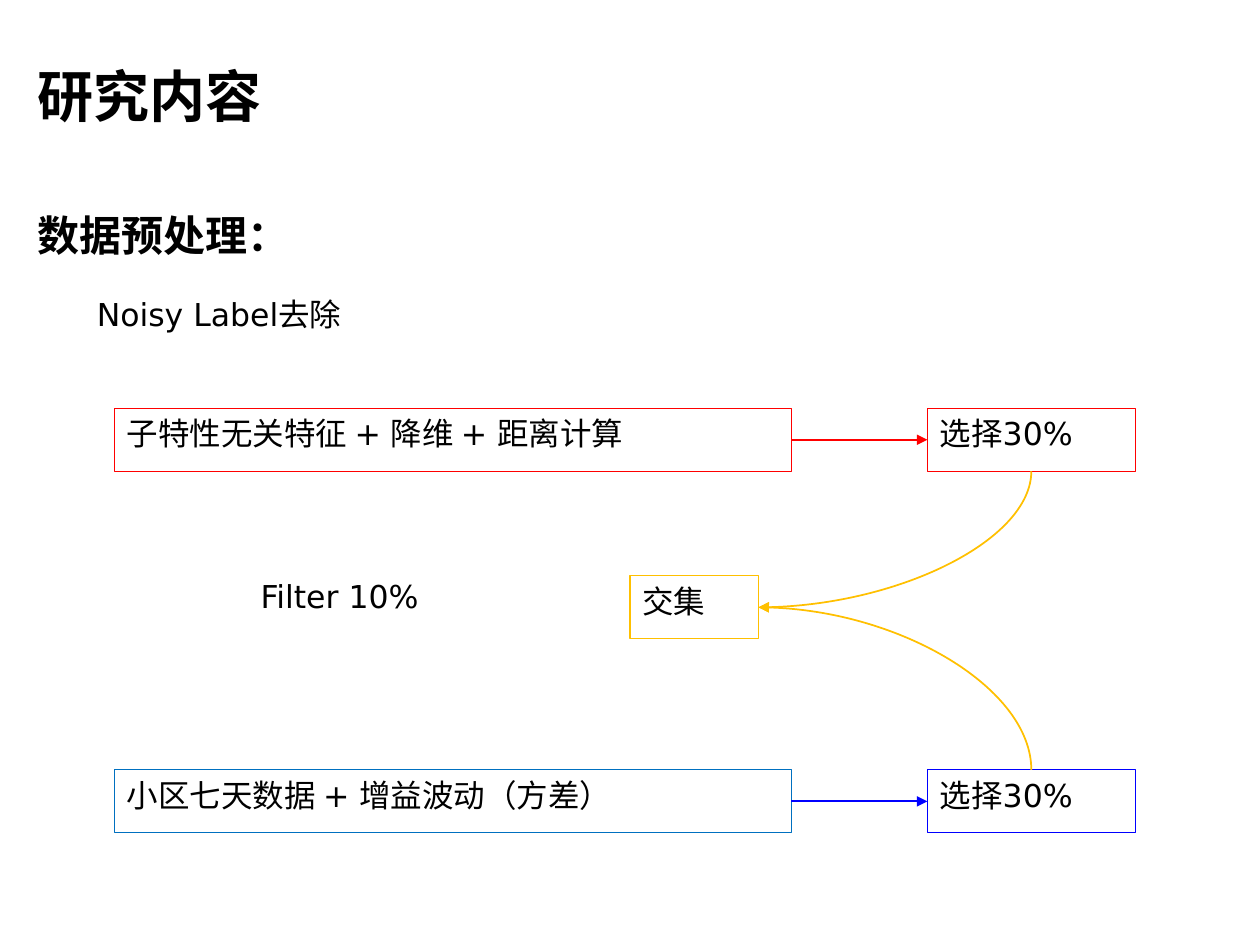
from pptx import Presentation
from pptx.dml.color import RGBColor
from pptx.enum import shapes, text
from pptx.oxml import parse_xml
from pptx.oxml import ns
from pptx.util import Inches, Pt

BLACK = RGBColor(0, 0, 0)
RED = RGBColor(0xFF, 0, 0)
BLUE = RGBColor(0, 0, 0xFF)
SKY = RGBColor(0x00, 0x70, 0xC0)
GOLD = RGBColor(0xFF, 0xC0, 0x00)
SANS, CJK, SERIF = "DejaVu Sans", "Noto Sans CJK SC", "Times New Roman"
TOP, LEFT, BOTTOM, RIGHT = range(4)
BOX_HEIGHT = Inches(0.5)


def drawing_element(tag, **attributes):
    element = parse_xml(f"<a:{tag} {ns.nsdecls('a')}/>")
    for name, value in attributes.items():
        element.set(name, value)
    return element


def place(shape, left, top, width, height):
    box = {"left": left, "top": top, "width": width, "height": height}
    for name, value in box.items():
        setattr(shape, name, value)


def write(shape, words, size=18, font=SANS, bold=False):
    """Fill a shape with one left-aligned paragraph that starts at the top."""
    frame = shape.text_frame
    frame_format = {"word_wrap": True, "auto_size": text.MSO_AUTO_SIZE.NONE,
                    "vertical_anchor": text.MSO_ANCHOR.TOP}
    for name, value in frame_format.items():
        setattr(frame, name, value)
    paragraph = frame.paragraphs[0]
    paragraph.alignment = text.PP_ALIGN.LEFT
    run = paragraph.add_run()
    run.text = words
    for name, value in {"size": Pt(size), "bold": bold, "name": font}.items():
        setattr(run.font, name, value)
    run.font.color.rgb = BLACK
    run.font._element.find(ns.qn("a:latin")).addnext(
        drawing_element("ea", typeface=CJK))
    return paragraph


def add_headings(slide, left, top, width):
    title, body = slide.placeholders
    place(title, left, top, width, Inches(0.64))
    write(title, "研究内容", 32, CJK, True)

    place(body, left, top + Inches(0.97), Inches(3.46), Inches(0.65))
    paragraph = write(body, "数据预处理：", 24, SERIF, True)
    paragraph.line_spacing = 1.5
    paragraph.space_before = Pt(0)
    properties = paragraph._p.get_or_add_pPr()
    properties.set("marL", "0")
    properties.set("indent", "0")
    properties.append(drawing_element("buNone"))


def add_label(slide, words, left, top, width):
    write(slide.shapes.add_textbox(left, top, width, BOX_HEIGHT), words)


def add_box(slide, words, color, left, top, width):
    box = slide.shapes.add_shape(
        shapes.MSO_SHAPE.RECTANGLE, left, top, width, BOX_HEIGHT)
    box.shadow.inherit = False
    box.fill.background()
    box.line.color.rgb = color
    box.line.width = Pt(0.75)
    write(box, words)
    return box


def add_arrow(slide, kind, color, start, start_side, end, end_side):
    arrow = slide.shapes.add_connector(kind, 0, 0, 0, 0)
    arrow.begin_connect(start, start_side)
    arrow.end_connect(end, end_side)
    arrow.line.color.rgb = color
    arrow.line.width = Pt(1)
    arrow.line._get_or_add_ln().append(
        drawing_element("tailEnd", type="triangle"))
    arrow.element.spPr.append(drawing_element("effectLst"))
    return arrow


def add_bend(slide, start, start_side, end):
    """Curve that leaves start vertically and enters end from the right."""
    arrow = add_arrow(slide, shapes.MSO_CONNECTOR.CURVE, GOLD,
                      start, start_side, end, RIGHT)
    center_x = (arrow.begin_x + arrow.end_x) // 2
    center_y = (arrow.begin_y + arrow.end_y) // 2
    run, rise = arrow.width, arrow.height
    # The preset starts horizontally, so its box is turned by a quarter.
    place(arrow, center_x - rise // 2, center_y - run // 2, rise, run)
    arrow.rotation = 90 if start_side == BOTTOM else 270
    frame = arrow.element.spPr.find(ns.qn("a:xfrm"))
    frame.set("flipH", "0")
    frame.set("flipV", "0" if start_side == BOTTOM else "1")
    arrow.element.spPr.find(ns.qn("a:prstGeom")).set("prst", "curvedConnector2")


def add_branch(slide, words, source_color, color, left, top):
    """Add a source box with an arrow to its selection box, which is returned."""
    source = add_box(slide, words, source_color, left, top, Inches(5.37))
    selection = add_box(slide, "选择30%", color,
                        left + Inches(6.45), top, Inches(1.65))
    add_arrow(slide, shapes.MSO_CONNECTOR.STRAIGHT, color,
              source, RIGHT, selection, LEFT)
    return selection


def add_flow(slide, left, top):
    upper = add_branch(slide, "子特性无关特征 + 降维 + 距离计算",
                       RED, RED, left, top)
    lower = add_branch(slide, "小区七天数据 + 增益波动（方差）",
                       SKY, BLUE, left, top + Inches(2.87))
    overlap = add_box(slide, "交集", GOLD, left + Inches(4.09),
                      top + Inches(1.33), Inches(1.02))
    add_bend(slide, upper, BOTTOM, overlap)
    add_bend(slide, lower, TOP, overlap)
    add_label(slide, "Filter 10%", left + Inches(1.06),
              top + Inches(1.29), Inches(1.81))


def main():
    presentation = Presentation()
    presentation.slide_width = Inches(10)
    presentation.slide_height = Inches(7.5)
    slide = presentation.slides.add_slide(presentation.slide_layouts[1])
    add_headings(slide, Inches(0.2), Inches(0.44), Inches(6.14))
    add_label(slide, "Noisy Label去除", Inches(0.67), Inches(2.29), Inches(2.52))
    add_flow(slide, Inches(0.91), Inches(3.24))
    presentation.save("out.pptx")


if __name__ == "__main__":
    main()
